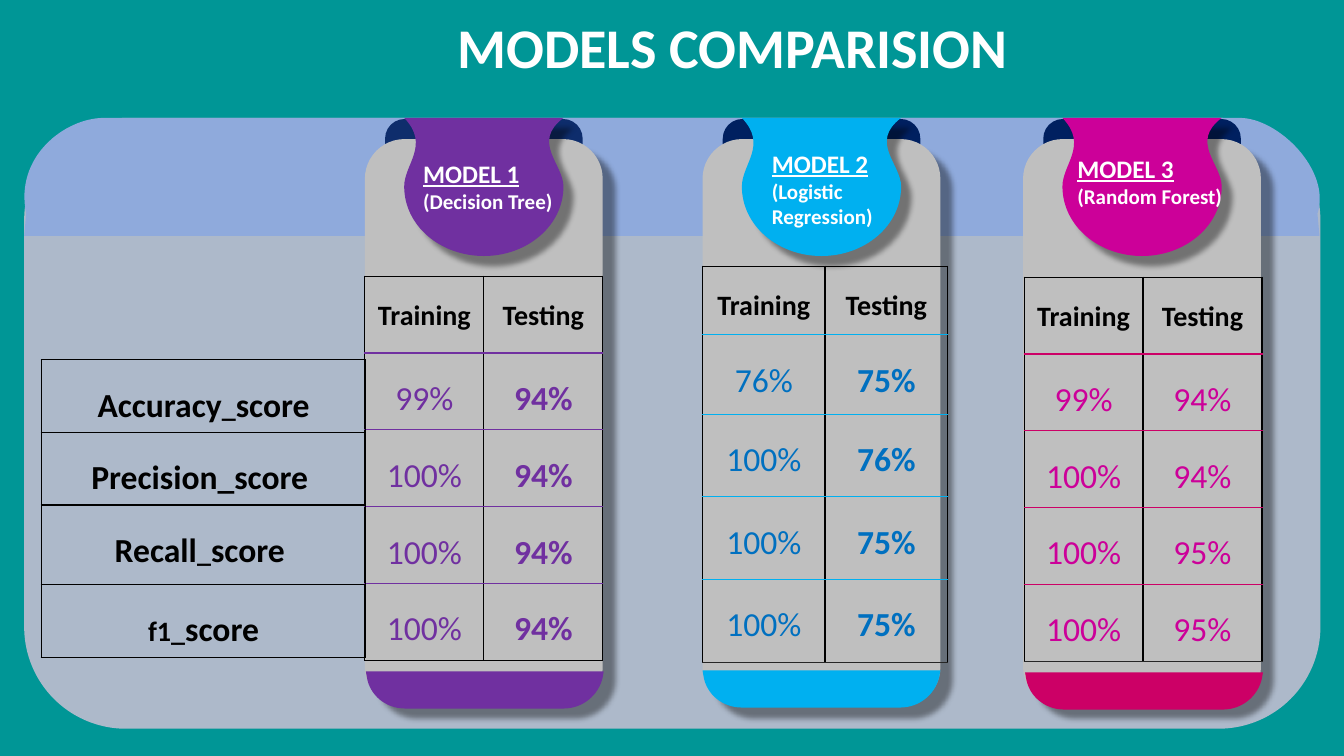
import pptx
import pptx.util
import pptx.dml.color
import pptx.enum.shapes
import pptx.enum.text
import pptx.oxml.ns
from lxml import etree

Inches, Pt = pptx.util.Inches, pptx.util.Pt
SHAPE = pptx.enum.shapes.MSO_SHAPE
ALIGN = pptx.enum.text.PP_ALIGN
qn = pptx.oxml.ns.qn

C = {"teal": "009696", "panel": "ADB9CA", "band": "8FAADC", "navy": "002060",
     "card": "BFBFBF", "black": "000000", "white": "FFFFFF", "dark": "262626",
     "purple": "7030A0", "sky": "00B0F0", "blue": "0070C0",
     "magenta": "CC0099", "pink": "CC0066"}

# Each model: left edge, colours, badge text and box, table and foot places, scores
MODELS = [
    dict(x=3.62, badge="purple", accent="purple", ink="purple", alpha=90,
         name="MODEL 1", kind="(Decision Tree)", label=(4.1, 1.52, 1.56, 0.65),
         table=(3.62, 2.74), col=1.18, rows=[3.81 / 5] * 5, foot_at=(3.63, 6.66),
         bottom="black", bold=True,
         scores=[("99%", "94%"), ("100%", "94%"), ("100%", "94%"), ("100%", "94%")]),
    dict(x=6.97, badge="sky", accent="sky", ink="blue", alpha=100,
         name="MODEL 2", kind="(Logistic Regression)", label=(7.56, 1.42, 1.44, 0.91),
         table=(6.97, 2.64), col=2.43 / 2, rows=[0.68, 0.79, 0.82, 0.82, 0.82],
         foot_at=(6.97, 6.65), bottom="dark", bold=True,
         scores=[("76%", "75%"), ("100%", "76%"), ("100%", "75%"), ("100%", "75%")]),
    dict(x=10.15, badge="magenta", accent="pink", ink="magenta", alpha=100,
         name="MODEL 3", kind="(Random Forest)", label=(10.59, 1.47, 1.7, 0.65),
         table=(10.16, 2.75), col=1.18, rows=[3.81 / 5] * 5, foot_at=(10.17, 6.67),
         bottom="dark", bold=False,
         scores=[("99%", "94%"), ("100%", "94%"), ("100%", "95%"), ("100%", "95%")]),
]
METRICS = [[("Accuracy", 24), ("_", 20), ("score", 24)],
           [("Precision_score ", 24)],
           [("Recall", 24), ("_", 20), ("score ", 24)],
           [("f1_", 20), ("score", 24)]]


def rgb(name):
    return pptx.dml.color.RGBColor.from_string(C[name])


def paint(sp, color, alpha=100, shadow=None):
    """Flat fill, no outline, optional (blur, distance) shadow."""
    sp.fill.solid()
    sp.fill.fore_color.rgb = rgb(color)
    sp.line.fill.background()
    sp.shadow.inherit = False
    if alpha < 100:
        clr = sp._element.spPr.find(qn("a:solidFill"))[0]
        etree.SubElement(clr, qn("a:alpha"), val=str(alpha * 1000))
    if shadow:
        blur, dist = shadow
        effects = sp._element.spPr.find(qn("a:effectLst"))
        outer = etree.SubElement(effects, qn("a:outerShdw"), blurRad=str(Pt(blur)),
                                 dist=str(Pt(dist)), dir="2700000", algn="tl",
                                 rotWithShape="0")
        clr = etree.SubElement(outer, qn("a:srgbClr"), val=C["black"])
        etree.SubElement(clr, qn("a:alpha"), val="40000")
    return sp


def add_shape(s, kind, x, y, w, h):
    return s.shapes.add_shape(kind, Inches(x), Inches(y), Inches(w), Inches(h))


def add_outline(s, x, y, start, steps):
    """Closed outline at (x, y); a step is one point, or three for a Bezier curve."""
    ends = [(Inches(x + px), Inches(y + py)) for px, py in [st[-1] for st in steps]]
    fb = s.shapes.build_freeform(Inches(x + start[0]), Inches(y + start[1]), scale=1.0)
    fb.add_line_segments(ends, close=True)
    sp = fb.convert_to_shape()
    # Turn the straight segments of three-point steps into curves
    segments = list(sp._element.iter(qn("a:lnTo")))
    for ln, step in zip(segments, steps):
        if len(step) == 3:
            curve = etree.Element(qn("a:cubicBezTo"))
            for px, py in step:
                etree.SubElement(curve, qn("a:pt"), x=str(Inches(x + px) - sp.left),
                                 y=str(Inches(y + py) - sp.top))
            ln.getparent().replace(ln, curve)
    return sp


def add_run(p, text, size, color, bold=True, underline=False):
    r = p.add_run()
    r.text = text
    f = r.font
    f.name, f.size, f.bold, f.underline = "Calibri", Pt(size), bold, underline
    f.color.rgb = rgb(color)


def add_text(s, box, paragraphs, align=ALIGN.LEFT):
    tf = s.shapes.add_textbox(*map(Inches, box)).text_frame
    tf.word_wrap = True
    for i, (text, size, underline) in enumerate(paragraphs):
        p = tf.add_paragraph() if i else tf.paragraphs[0]
        p.alignment = align
        add_run(p, text, size, "white", underline=underline)


def add_grid(s, x, y, cols, rows, cells, inner, bottom="black"):
    """Unfilled table; inner and bottom colour its horizontal borders."""
    tb = s.shapes.add_table(len(rows), len(cols), Inches(x), Inches(y),
                            Inches(sum(cols)), Inches(sum(rows))).table
    tb.first_row = tb.horz_banding = False
    for j, w in enumerate(cols):
        tb.columns[j].width = Inches(w)
    edges = ["black"] + [inner] * (len(rows) - 1) + [bottom]
    for i, h in enumerate(rows):
        tb.rows[i].height = Inches(h)
        for j in range(len(cols)):
            cell = tb.cell(i, j)
            cell.fill.background()
            p = cell.text_frame.paragraphs[0]
            p.alignment, p.line_spacing = ALIGN.CENTER, 1.5
            for run in cells[i][j]:
                add_run(p, *run)
            borders = {"L": "black", "R": "black", "T": edges[i], "B": edges[i + 1]}
            tcPr = cell._tc.get_or_add_tcPr()
            for k, (side, color) in enumerate(borders.items()):
                ln = etree.Element(qn("a:ln" + side), w=str(Pt(0.96)))
                fill = etree.SubElement(ln, qn("a:solidFill"))
                etree.SubElement(fill, qn("a:srgbClr"), val=C[color])
                tcPr.insert(k, ln)


def add_panel(s, x, y, w, h):
    paint(add_shape(s, SHAPE.ROUNDED_RECTANGLE, x, y, w, h), "panel")
    band = add_outline(s, x, y, (0.79, 0), [
        ((12.06, 0),), ((12.44, 0), (12.97, 0.52), (12.83, 0.95)),
        ((12.85, 1.17),), ((0, 1.17),), ((0.02, 0.95),),
        ((-0.1, 0.38), (0.41, 0), (0.79, 0))])
    paint(band, "band")


def add_card(s, m, y=1.17, w=2.36):
    x = m["x"]
    # Folds behind the badge
    for dx in (0.2, 1.77):
        fold = add_shape(s, SHAPE.FLOWCHART_DELAY, x + dx, y + 0.01, 0.39, 0.39)
        fold.rotation = 270
        paint(fold, "navy", m["alpha"])
    # Card and hanging badge
    paint(add_shape(s, SHAPE.ROUNDED_RECTANGLE, x, y + 0.21, w, 5.63),
          "card", shadow=(4, 12))
    badge = add_outline(s, x + 0.39, y, (1.58, 0), [
        ((1.26, 0.24), (1.58, 0.46), (1.58, 0.68)),
        ((1.58, 1.07), (1.22, 1.37), (0.79, 1.37)),
        ((0.36, 1.37), (0, 1.07), (0, 0.68)),
        ((0, 0.46), (0.26, 0.27), (0, 0))])
    paint(badge, m["badge"], shadow=(4, 10))
    # Coloured foot
    foot = add_outline(s, *m["foot_at"], (0, 0), [
        ((w, 0),), ((w - 0.01, 0.06),),
        ((w - 0.05, 0.24), (w - 0.21, 0.37), (w - 0.4, 0.37)), ((0.39, 0.37),),
        ((0.2, 0.37), (0.04, 0.24), (0.01, 0.06))])
    paint(foot, m["accent"])
    # Name and scores
    add_text(s, m["label"], [(m["name"], 18, True), (m["kind"], 15, False)])
    cells = [[[(head, 20, "black")] for head in ("Training", "Testing")]]
    for train, test in m["scores"]:
        cells.append([[(train, 24, m["ink"], False)], [(test, 24, m["ink"], m["bold"])]])
    add_grid(s, *m["table"], [m["col"]] * 2, m["rows"], cells, m["accent"], m["bottom"])


def main():
    prs = pptx.Presentation()
    prs.slide_width, prs.slide_height = Inches(40 / 3), Inches(7.5)
    s = prs.slides.add_slide(prs.slide_layouts[6])
    s.background.fill.solid()
    s.background.fill.fore_color.rgb = rgb("teal")
    add_panel(s, 0.24, 1.17, 12.86, 6.06)
    for m in MODELS:
        add_card(s, m)
    # Metric names
    metrics = [[[(text, size, "black") for text, size in runs]] for runs in METRICS]
    add_grid(s, 0.41, 3.57, [3.22], [0.72, 0.72, 0.79, 0.72], metrics, "black")
    # Title
    add_text(s, (4.44, 0.08, 5.85, 0.77), [("MODELS COMPARISION", 40, False)],
             ALIGN.JUSTIFY)
    prs.save("out.pptx")


if __name__ == "__main__":
    main()
